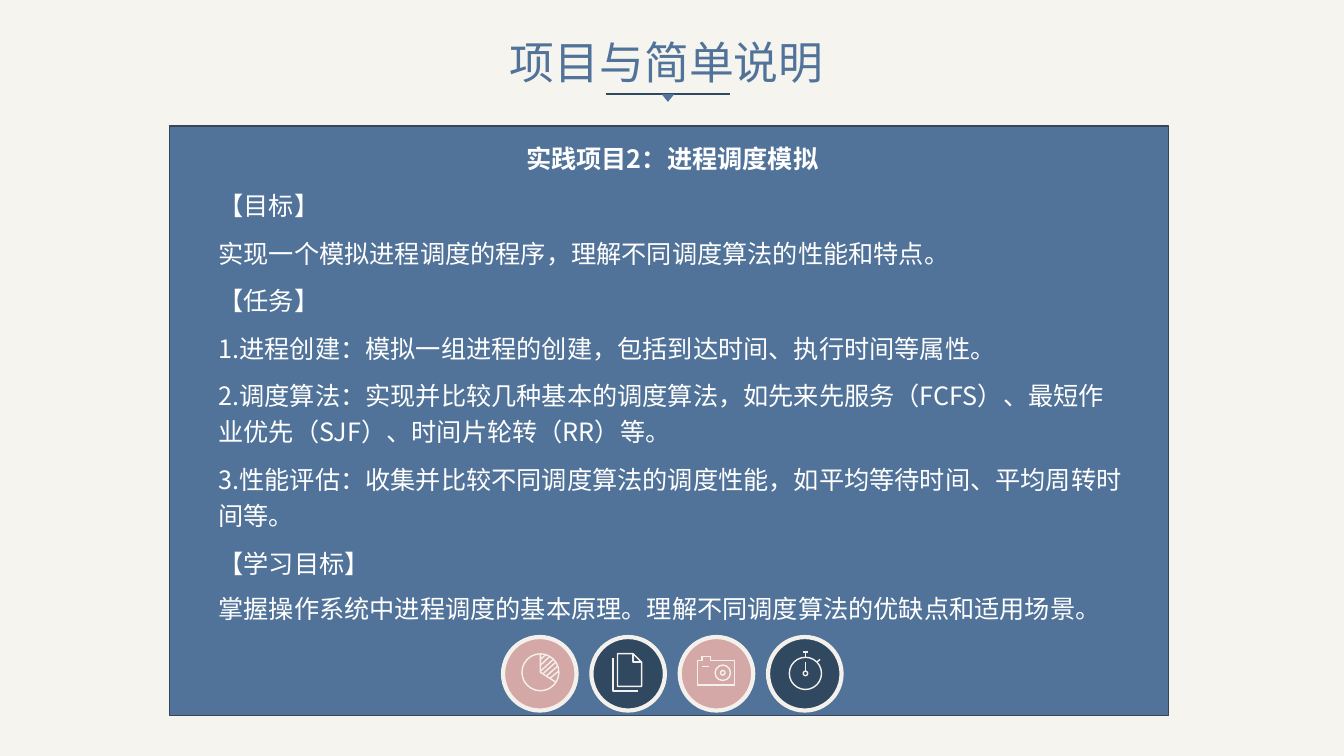
import pptx
import pptx.util
import pptx.dml.color
import pptx.enum.shapes
import pptx.enum.text
import pptx.oxml.ns

Pt = pptx.util.Pt
SHAPE = pptx.enum.shapes.MSO_SHAPE
ALIGN = pptx.enum.text.PP_ALIGN
ANCHOR = pptx.enum.text.MSO_ANCHOR

BLUE, NAVY, PINK, CREAM = "517399", "304860", "D4A8A7", "F4F1EC"
CJK = "Noto Sans CJK SC"

TITLE = "项目与简单说明"
HEADING = "实践项目2：进程调度模拟"
BODY = [
    "【目标】",
    "实现一个模拟进程调度的程序，理解不同调度算法的性能和特点。",
    "【任务】",
    "1.进程创建：模拟一组进程的创建，包括到达时间、执行时间等属性。",
    "2.调度算法：实现并比较几种基本的调度算法，如先来先服务（FCFS）、最短作业优先（SJF）、时间片轮转（RR）等。",
    "3.性能评估：收集并比较不同调度算法的调度性能，如平均等待时间、平均周转时间等。",
    "【学习目标】",
    "掌握操作系统中进程调度的基本原理。理解不同调度算法的优缺点和适用场景。",
]

# Icon strokes are measured from the centre of their badge.
# rings: (x, y, radius); strokes: (points, closed)
ICONS = [
    {"name": "pie", "fill": PINK,
     "rings": [(0.4, -1.1, 13.2)],
     "strokes": [
         ([(0.4, -14.3), (0.4, -1.1), (11.4, 5.9)], False),
         ([(0.4, -10.4), (3.9, -13.3)], False),
         ([(0.4, -6.1), (6.8, -12.2)], False),
         ([(0.4, -1.8), (9.3, -10)], False),
         ([(2.5, -0.3), (11.3, -8.2)], False),
         ([(5, 1.3), (12.7, -5.5)], False),
         ([(7.5, 3), (13.3, -1.8)], False)]},
    {"name": "pages", "fill": NAVY,
     "rings": [],
     "strokes": [
         ([(-7.6, -14.4), (3.5, -14.4), (9.6, -8.3), (9.6, 9), (-7.6, 9)], True),
         ([(3.5, -14.4), (3.5, -8.3), (9.6, -8.3)], False),
         ([(-10.9, -11.1), (-10.9, 12.2), (7.1, 12.2)], False)]},
    {"name": "camera", "fill": PINK,
     "rings": [(4.5, -0.7, 5.5), (4.5, -0.7, 1.6)],
     "strokes": [
         ([(-13.5, -9.7), (-10.3, -9.7), (-10.3, -12.2), (-4.2, -12.2),
           (-4.2, -9.7), (13.1, -9.7), (13.1, 7.9), (-13.5, 7.9)], True),
         ([(-10.3, -5), (-5.2, -5)], False)]},
    {"name": "stopwatch", "fill": NAVY,
     "rings": [(0.4, -0.3, 11.5), (0.4, -0.3, 1.6)],
     "strokes": [
         ([(0.4, -8.3), (0.4, -1.9)], False),
         ([(0.4, -15.6), (0.4, -11.8)], False),
         ([(-1.3, -15.6), (2.1, -15.6)], False),
         ([(8.8, -8.6), (10.9, -10.3)], False)]},
]
BADGE_X, BADGE_Y, BADGE_STEP, BADGE_R = 385.6, 481.3, 63.1, 26.25


def color(value):
    return pptx.dml.color.RGBColor.from_string(value)


def style(sp, fill=None, line=None, width=1):
    sp.shadow.inherit = False
    if fill:
        sp.fill.solid()
        sp.fill.fore_color.rgb = color(fill)
    else:
        sp.fill.background()
    if line:
        sp.line.color.rgb = color(line)
        sp.line.width = Pt(width)
    else:
        sp.line.fill.background()
    return sp


def add_shape(kind, x, y, w, h, **look):
    return style(s.shapes.add_shape(kind, Pt(x), Pt(y), Pt(w), Pt(h)), **look)


def add_circle(x, y, radius, **look):
    return add_shape(SHAPE.OVAL, x - radius, y - radius, 2 * radius, 2 * radius, **look)


def add_line(start, end, line, width):
    sp = s.shapes.add_connector(pptx.enum.shapes.MSO_CONNECTOR.STRAIGHT,
                                *map(Pt, (*start, *end)))
    sp.line.color.rgb = color(line)
    sp.line.width = Pt(width)
    effects = sp._element.spPr.makeelement(pptx.oxml.ns.qn("a:effectLst"), {})
    sp._element.spPr.append(effects)


def add_stroke(points, closed):
    if len(points) == 2:
        add_line(*points, CREAM, 1)
        return
    pts = [(Pt(x), Pt(y)) for x, y in points]
    builder = s.shapes.build_freeform(*pts[0], scale=1.0)
    builder.add_line_segments(pts[1:], close=closed)
    style(builder.convert_to_shape(), line=CREAM)


def add_run(p, text, rgb, **font):
    r = p.add_run()
    r.text = text
    r.font.color.rgb = color(rgb)
    for key, value in font.items():
        setattr(r.font, key, value)
    rPr = r._r.get_or_add_rPr()
    rPr.set("lang", "zh-CN")
    ea = rPr.makeelement(pptx.oxml.ns.qn("a:ea"), {"typeface": CJK})
    rPr.find(pptx.oxml.ns.qn("a:latin")).addnext(ea)


prs = pptx.Presentation()
prs.slide_width, prs.slide_height = Pt(960), Pt(540)
s = prs.slides.add_slide(prs.slide_layouts[5])
s.background.fill.solid()
s.background.fill.fore_color.rgb = color("F5F4EF")

# Title with its underline and pointer
title = s.shapes.title
title.left, title.top, title.width, title.height = map(Pt, (357, 21, 240.5, 46))
tf = title.text_frame
for key, value in {"word_wrap": False, "vertical_anchor": ANCHOR.MIDDLE,
                   "auto_size": pptx.enum.text.MSO_AUTO_SIZE.NONE}.items():
    setattr(tf, key, value)
tf.paragraphs[0].alignment = ALIGN.LEFT
add_run(tf.paragraphs[0], TITLE, BLUE, size=Pt(32), name="Times New Roman")
add_line((432.7, 67), (521.3, 67), NAVY, 1.5)
add_shape(SHAPE.ISOSCELES_TRIANGLE, 472.4, 67, 9.4, 5.8, fill=BLUE).rotation = 180

# Panel and badges
add_shape(SHAPE.RECTANGLE, 121, 90, 713.5, 421, fill=BLUE, line="374656")
for i, icon in enumerate(ICONS):
    cx = BADGE_X + i * BADGE_STEP
    add_circle(cx, BADGE_Y, BADGE_R, fill=icon["fill"], line=CREAM, width=3)
    for x, y, radius in icon["rings"]:
        add_circle(cx + x, BADGE_Y + y, radius, line=CREAM)
    for points, closed in icon["strokes"]:
        add_stroke([(cx + x, BADGE_Y + y) for x, y in points], closed)

# Project description
tf = s.shapes.add_textbox(Pt(149), Pt(94.3), Pt(662.4), Pt(389.5)).text_frame
tf.word_wrap = True
for i, text in enumerate([HEADING] + BODY):
    p = tf.paragraphs[0] if i == 0 else tf.add_paragraph()
    p.alignment = ALIGN.LEFT if i else ALIGN.CENTER
    p.line_spacing = 1.15 if i == len(BODY) else 1.2
    p.space_after = Pt(8)
    add_run(p, text, "FFFFFF", size=Pt(18), name=CJK, bold=i == 0)

prs.save("out.pptx")
